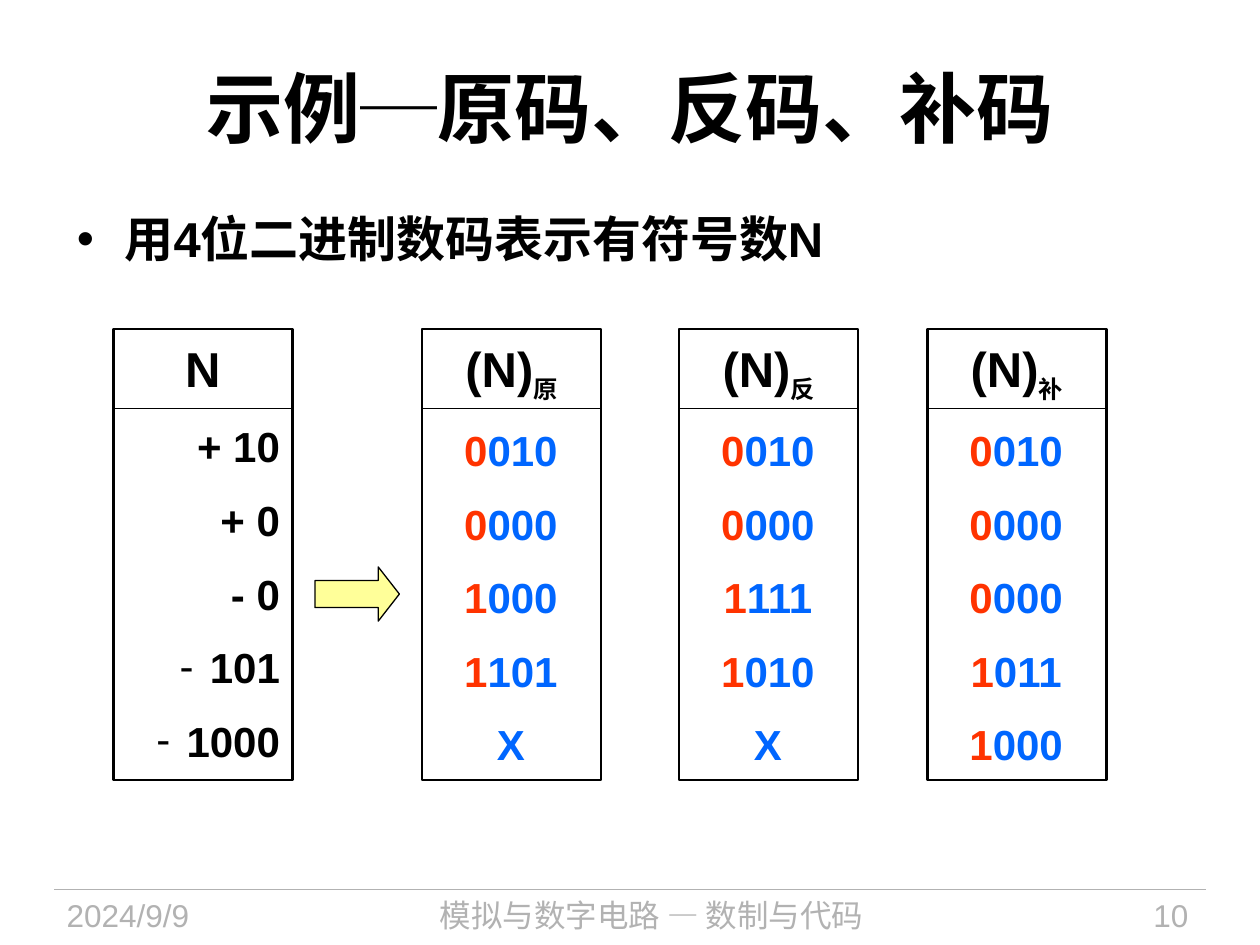
from lxml.etree import SubElement
from pptx import Presentation
from pptx.dml.color import RGBColor
from pptx.enum.shapes import MSO_CONNECTOR, MSO_SHAPE
from pptx.enum.text import MSO_ANCHOR, PP_ALIGN
from pptx.oxml.ns import qn
from pptx.util import Inches, Pt

LATIN, HAN = "Arial", "Noto Sans CJK SC"
BLACK, GREY, RED, BLUE = "000000", "B2B2B2", "FF3300", "0066FF"
WIDE, TALL, HEAD = 1.42, 3.58, 0.63
CODES = [
    (3.35, "原", ["0010", "0000", "1000", "1101", "X"]),
    (5.39, "反", ["0010", "0000", "1111", "1010", "X"]),
    (7.36, "补", ["0010", "0000", "0000", "1011", "1000"]),
]
SIGNED = ["+ 10", "+ 0", "- 0", "101", "1000"]


def paint(text):
    return RGBColor.from_string(text)


def place(shape, box):
    shape.left, shape.top, shape.width, shape.height = map(Inches, box)


def style(run, size, color=BLACK, bold=True, face=LATIN):
    font = run.font
    font.size, font.bold, font.name = Pt(size), bold, face
    font.color.rgb = paint(color)
    SubElement(run._r.get_or_add_rPr(), qn("a:ea")).set("typeface", HAN)


def add_run(para, text, size, color=BLACK):
    run = para.add_run()
    run.text = text
    style(run, size, color)
    return run


def bullet(para, mark, inset):
    props = para._p.get_or_add_pPr()
    props.set("marL", str(Inches(inset)))
    props.set("indent", str(-Inches(inset)))
    SubElement(props, qn("a:buFont")).set("typeface", LATIN)
    SubElement(props, qn("a:buChar")).set("char", mark)


def rule(slide, left, top, width, color=BLACK):
    x, y = Inches(left), Inches(top)
    line = slide.shapes.add_connector(
        MSO_CONNECTOR.STRAIGHT, x, y, x + Inches(width), y)
    line.line.color.rgb = paint(color)
    line.line.width = Pt(0.75)
    SubElement(line._element.spPr, qn("a:effectLst"))


def outline(slide, kind, box, weight, fill=None):
    shape = slide.shapes.add_shape(kind, *map(Inches, box))
    shape.shadow.inherit = False
    if fill:
        shape.fill.solid()
        shape.fill.fore_color.rgb = paint(fill)
    else:
        shape.fill.background()
    shape.line.color.rgb = paint(BLACK)
    shape.line.width = Pt(weight)
    return shape


def set_frame(frame):
    frame.word_wrap = True
    frame.vertical_anchor = MSO_ANCHOR.TOP
    frame.margin_top = Inches(0.08)
    return frame


def panel(slide, left, top):
    box = outline(slide, MSO_SHAPE.RECTANGLE, (left, top, WIDE, TALL), 1.5)
    rule(slide, left, top + HEAD, WIDE)
    frame = set_frame(box.text_frame)
    frame.paragraphs[0].alignment = PP_ALIGN.CENTER
    return frame


def add_signed(slide, left, top):
    frame = panel(slide, left, top)
    add_run(frame.paragraphs[0], "N", 28)
    for text in SIGNED:
        para = frame.add_paragraph()
        para.alignment = PP_ALIGN.RIGHT
        para.space_before = Pt(13.25)
        if text.isdigit():
            bullet(para, "-", 0.24)
        add_run(para, text, 24)


def add_code(slide, left, top, sign, codes):
    frame = panel(slide, left, top)
    frame.word_wrap = False
    head = frame.paragraphs[0]
    add_run(head, "(N)", 28)
    sub = add_run(head, sign, 24)
    sub.font._element.set("baseline", "-25000")
    box = (left + 0.07, top + HEAD + 0.05, 1.27, 2.9)
    frame = set_frame(slide.shapes.add_textbox(*map(Inches, box)).text_frame)
    for index, code in enumerate(codes):
        para = frame.add_paragraph() if index else frame.paragraphs[0]
        para.alignment = PP_ALIGN.CENTER
        if index:
            para.space_before = Pt(13.25)
        if code.isdigit():
            add_run(para, code[0], 24, RED)
            add_run(para, code[1:], 24, BLUE)
        else:
            add_run(para, code, 24, BLUE)


def add_title(slide, box):
    title = slide.shapes.title
    place(title, box)
    title.text_frame.vertical_anchor = MSO_ANCHOR.MIDDLE
    para = title.text_frame.paragraphs[0]
    para.alignment = PP_ALIGN.CENTER
    for text, face in (("示例─", HAN), ("原码、反码、补码", LATIN)):
        run = para.add_run()
        run.text = text
        style(run, 44, face=face)


def add_body(slide, box):
    body = slide.placeholders[1]
    place(body, box)
    body.text_frame.text = "用4位二进制数码表示有符号数N"
    para = body.text_frame.paragraphs[0]
    para.space_before = Pt(0)
    para.line_spacing = 0.9
    bullet(para, "•", 0.38)
    style(para.runs[0], 28)


def add_foot(slide, top):
    rule(slide, 0.43, top, 9.14, GREY)
    parts = [
        (0.43, 1.88, "2024/9/9", PP_ALIGN.LEFT),
        (2.49, 5.36, "模拟与数字电路 — 数制与代码", PP_ALIGN.CENTER),
        (8.2, 1.33, "10", PP_ALIGN.RIGHT),
    ]
    for left, width, text, align in parts:
        box = slide.shapes.add_textbox(*map(Inches, (left, top, width, 0.44)))
        box.text_frame.word_wrap = True
        box.text_frame.text = text
        para = box.text_frame.paragraphs[0]
        para.alignment = align
        style(para.runs[0], 18, GREY, False)


def main():
    deck = Presentation()
    deck.slide_width, deck.slide_height = Inches(10), Inches(7.5)
    slide = deck.slides.add_slide(deck.slide_layouts[1])
    add_foot(slide, 7.06)
    add_title(slide, (0.5, 0.22, 9, 1.25))
    add_body(slide, (0.51, 1.66, 8.98, 0.91))
    top = 2.61
    add_signed(slide, 0.9, top)
    arrow = outline(
        slide, MSO_SHAPE.RIGHT_ARROW, (2.5, 4.5, 0.67, 0.43), 0.75, "FFFF99")
    arrow.adjustments[1] = 0.39
    for left, sign, codes in CODES:
        add_code(slide, left, top, sign, codes)
    deck.save("out.pptx")


if __name__ == "__main__":
    main()
